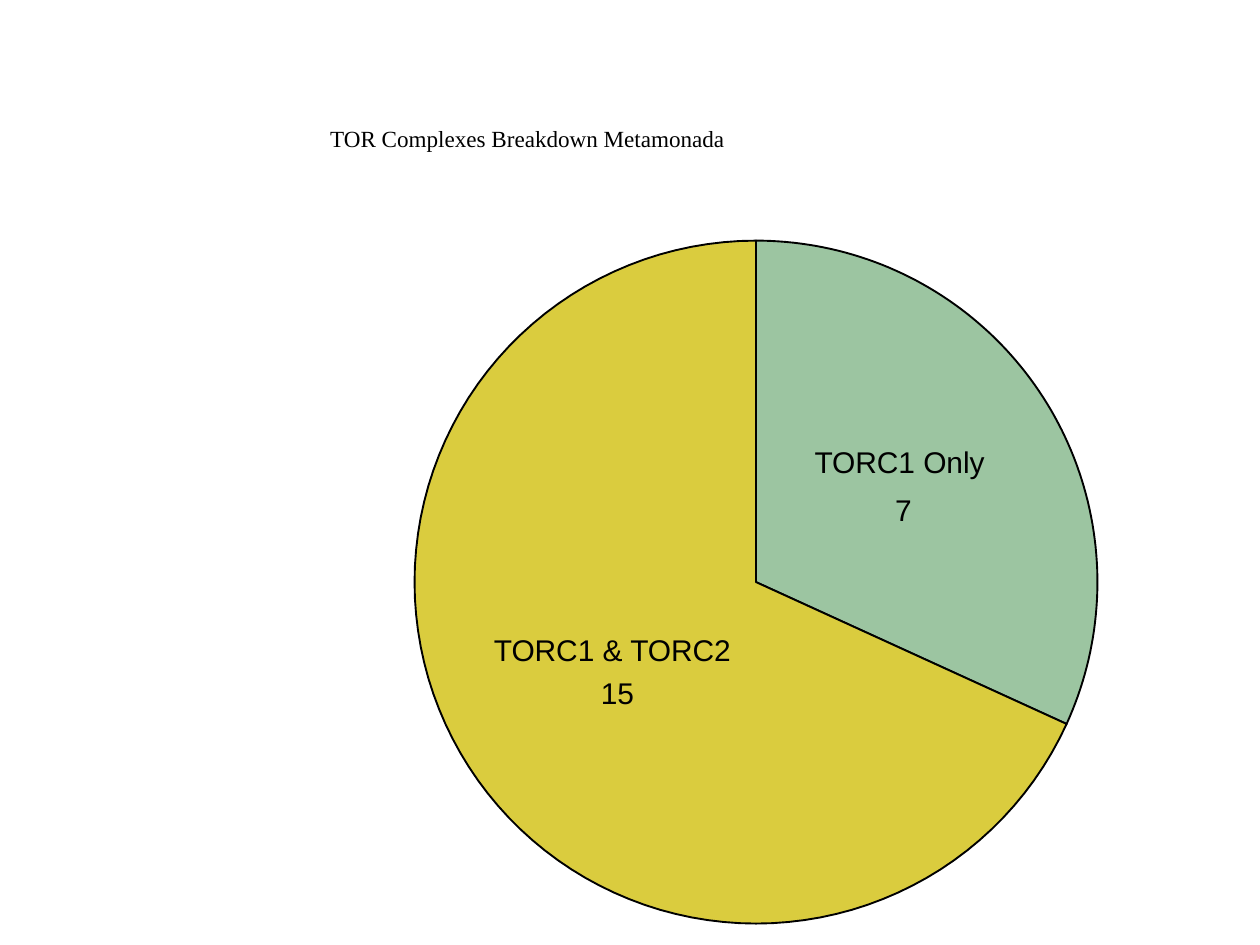
import math

from pptx import Presentation
from pptx import util as u
from pptx.dml.color import RGBColor
from pptx.enum import text

COLOURS = {"green": "9CC5A1", "yellow": "DACC3E", "ink": "000000"}
CENTRE_X, CENTRE_Y, RADIUS = 6, 4.62, 2.71
ARC_STEPS = 90
LABEL_FORMAT = {"name": "Arial", "size": u.Pt(17.1)}
TITLE_FORMAT = {"name": "Times New Roman", "size": u.Pt(13.2), "bold": False}
SLICES = [
    ("TORC1 Only", 7, "green", (7.14, 3.69), (7.17, 4.07)),
    ("TORC1 & TORC2", 15, "yellow", (4.86, 5.18), (4.9, 5.52)),
]


def rim_point(turn):
    """Return the rim position at a share of a clockwise turn from the top."""
    angle = 2 * math.pi * turn
    return (u.Inches(CENTRE_X + RADIUS * math.sin(angle)),
            u.Inches(CENTRE_Y - RADIUS * math.cos(angle)))


def add_slice(page, start, end, colour):
    """Draw one outlined pie slice between two shares of a turn."""
    rim = [rim_point(start + (end - start) * step / ARC_STEPS)
           for step in range(ARC_STEPS + 1)]
    builder = page.shapes.build_freeform(u.Inches(CENTRE_X), u.Inches(CENTRE_Y))
    builder.add_line_segments(rim, close=True)
    wedge = builder.convert_to_shape()
    wedge.shadow.inherit = False
    wedge.fill.solid()
    wedge.fill.fore_color.rgb = RGBColor.from_string(COLOURS[colour])
    wedge.line.color.rgb = RGBColor.from_string(COLOURS["ink"])
    wedge.line.width = u.Pt(1.07)


def write_text(box, wording, formats, align, wrap):
    """Fill a box with one formatted line, free of margins."""
    frame = box.text_frame
    settings = {"margin_left": 0, "margin_top": 0, "margin_right": 0,
                "margin_bottom": 0, "word_wrap": wrap,
                "auto_size": text.MSO_AUTO_SIZE.NONE,
                "vertical_anchor": text.MSO_ANCHOR.MIDDLE}
    for key, value in settings.items():
        setattr(frame, key, value)
    para = frame.paragraphs[0]
    para.alignment = align
    para.line_spacing = formats["size"]
    span = para.add_run()
    span.text = wording
    for key, value in formats.items():
        setattr(span.font, key, value)
    span.font.color.rgb = RGBColor.from_string(COLOURS["ink"])


def add_label(page, wording, centre, width):
    """Place a label centred on a point."""
    height = 0.2
    box = page.shapes.add_textbox(
        u.Inches(centre[0] - width / 2), u.Inches(centre[1] - height / 2),
        u.Inches(width), u.Inches(height))
    write_text(box, wording, LABEL_FORMAT, text.PP_ALIGN.CENTER, False)


def set_title(page, wording):
    """Move and fill the title placeholder."""
    title = page.shapes.title
    place = {"left": 2.62, "top": 1.03, "width": 3.2, "height": 0.17}
    for key, value in place.items():
        setattr(title, key, u.Inches(value))
    write_text(title, wording, TITLE_FORMAT, text.PP_ALIGN.LEFT, True)


def main():
    """Build the slide and save it."""
    deck = Presentation()
    deck.slide_width, deck.slide_height = u.Inches(10), u.Inches(7.5)
    page = deck.slides.add_slide(deck.slide_layouts[5])
    set_title(page, "TOR Complexes Breakdown Metamonada")
    total = sum(count for _, count, *_ in SLICES)
    start = 0
    for _, count, colour, *_ in SLICES:
        end = start + count / total
        add_slice(page, start, end, colour)
        start = end
    for name, count, _, name_centre, count_centre in SLICES:
        add_label(page, name, name_centre, 0.15 * len(name))
        add_label(page, str(count), count_centre, 0.15 * len(str(count)))
    deck.save("out.pptx")


if __name__ == "__main__":
    main()
